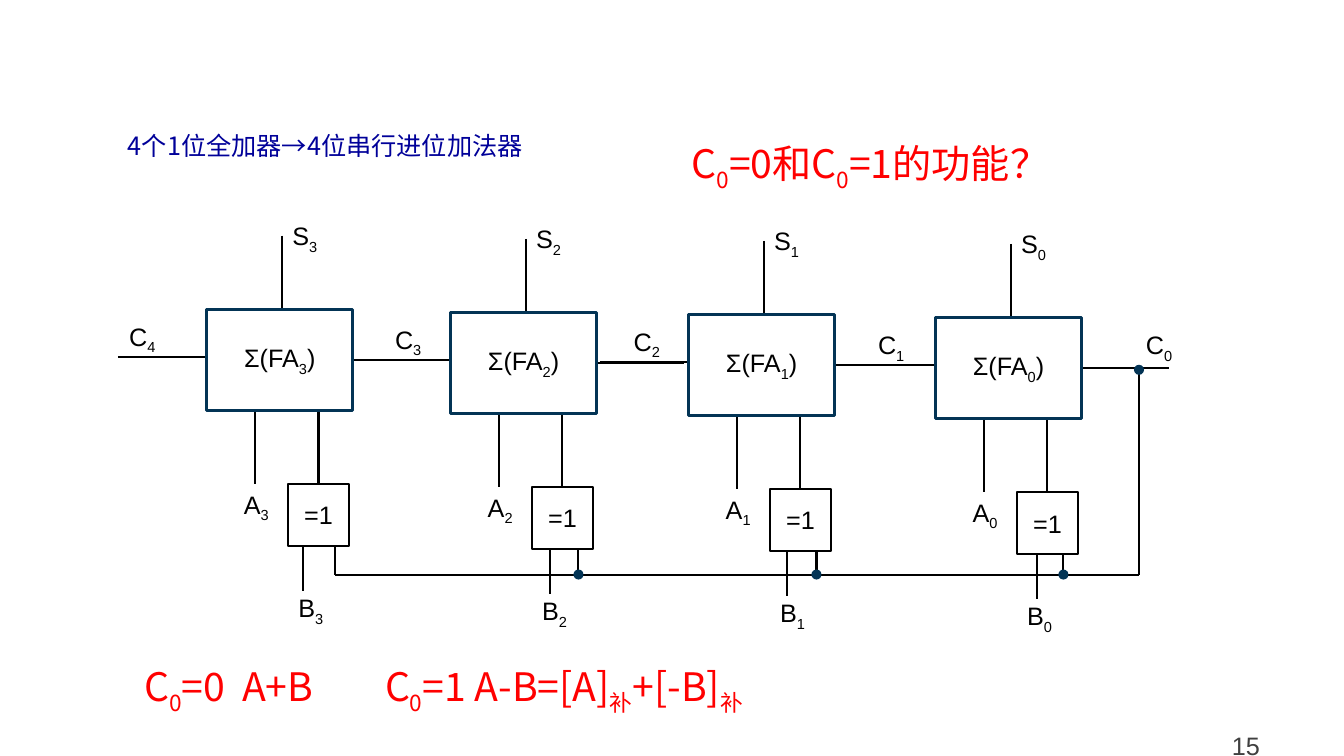
from lxml import etree
from pptx import Presentation
from pptx import util as u
from pptx.dml import color
from pptx.enum import shapes, text
from pptx.oxml import ns

Pt = u.Pt
LATIN, CJK = "Arial", "Noto Sans CJK SC"
BLACK, NAVY, RED = "000000", "033455", "FF0000"
ADDERS = [
    (3, 147.6, 221, -55.4, 69.1),
    (2, 321.8, 223.2, -39.6, 71.3),
    (1, 491.8, 224.6, -39.2, 70.6),
    (0, 668.2, 226.8, -41, 72.7),
]
BUS_Y, MODE_X = 410.4, 813.6


def rgb(value):
    """Turn a hex string into a colour."""
    return color.RGBColor.from_string(value)


def write(frame, content, size, font, hue, align=text.PP_ALIGN.LEFT, tabs=()):
    """Write text whose every second part between bars is a subscript."""
    frame.word_wrap = True
    frame.margin_left = frame.margin_right = frame.margin_top = frame.margin_bottom = 0
    line = frame.paragraphs[0]
    line.alignment = align
    if tabs:
        stops = etree.SubElement(line._p.get_or_add_pPr(), ns.qn("a:tabLst"))
        for stop in tabs:
            etree.SubElement(stops, ns.qn("a:tab"), pos=str(Pt(stop)), algn="l")
    for index, part in enumerate(content.split("|")):
        if not part:
            continue
        run = line.add_run()
        run.text = part
        run.font.size = Pt(size)
        run.font.name = font
        run.font.color.rgb = rgb(hue)
        etree.SubElement(run._r.rPr, ns.qn("a:ea"), typeface=font)
        if index % 2:
            run.font._element.set("baseline", "-25000")
    return line


def label(slide, box, content, size=18, font=LATIN, hue=BLACK, **layout):
    """Place a text box without insets."""
    frame = slide.shapes.add_textbox(*map(Pt, box)).text_frame
    return write(frame, content, size, font, hue, **layout)


def wire(slide, x1, y1, x2, y2):
    """Draw one straight black wire."""
    line = slide.shapes.add_connector(
        shapes.MSO_CONNECTOR.STRAIGHT, Pt(x1), Pt(y1), Pt(x2), Pt(y2))
    line.line.color.rgb = rgb(BLACK)
    line.line.width = Pt(1.5)
    etree.SubElement(line._element.spPr, ns.qn("a:effectLst"))


def block(slide, box, content, edge, weight):
    """Draw a white logic block with centred text."""
    gate = slide.shapes.add_shape(shapes.MSO_SHAPE.RECTANGLE, *map(Pt, box))
    gate.shadow.inherit = False
    gate.fill.solid()
    gate.fill.fore_color.rgb = rgb("FFFFFF")
    gate.line.color.rgb = rgb(edge)
    gate.line.width = Pt(weight)
    write(gate.text_frame, content, 18, LATIN, BLACK, text.PP_ALIGN.CENTER)
    gate.text_frame.vertical_anchor = text.MSO_ANCHOR.MIDDLE


def junction(slide, x, y):
    """Mark a wire junction with a dot."""
    dot = slide.shapes.add_shape(
        shapes.MSO_SHAPE.OVAL, Pt(x - 3.6), Pt(y - 3.6), Pt(7.2), Pt(7.2))
    dot.shadow.inherit = False
    dot.fill.solid()
    dot.fill.fore_color.rgb = rgb(NAVY)
    dot.line.fill.background()


def adder(slide, bit, x, y, carry_x, b_x):
    """Draw one full adder with its gate, wires and labels."""
    mode_x = 91.4
    for x1, y1, x2, y2 in [
        (34.6, 72, 34.6, 124.6),
        (79.9, 72, 79.9, 124.6),
        (104.4, 36, 167, 36),
        (-63.4, 34, -0.7, 34),
        (54, -52.6, 54, 0),
        (b_x, 169, b_x, 201.4),
        (mode_x, 169, mode_x, BUS_Y - y),
    ]:
        wire(slide, x + x1, y + y1, x + x2, y + y2)
    block(slide, (x, y, 104.4, 72), f"Σ(FA|{bit}|)", NAVY, 2.25)
    block(slide, (x + 58.4, y + 124.4, 43.2, 44.6), "=1", BLACK, 1.5)
    for name, index, dx, dy in [
        ("A", bit, 26.6, 128.2),
        ("B", bit, 65.5, 202.3),
        ("S", bit, 61.2, -63.4),
        ("C", bit + 1, carry_x, 8.6),
    ]:
        label(slide, (x + dx, y + dy, 28, 21.6), f"{name}|{index}")
    if bit < 3:
        junction(slide, x + mode_x, BUS_Y)


def circuit(slide):
    """Draw the four-bit chain and the mode bus."""
    wire(slide, MODE_X, 262.8, MODE_X, BUS_Y)
    wire(slide, MODE_X, BUS_Y, 239, BUS_Y)
    for stage in ADDERS:
        adder(slide, *stage)
    junction(slide, MODE_X, 264.2)
    label(slide, (818.6, 235.4, 28, 21.6), "C|0")


def statements(slide):
    """Place the heading, the question, the answer and the page number."""
    label(slide, (91.4, 92.9, 286, 44), "4个1位全加器→4位串行进位加法器",
          font=CJK, hue="000099")
    label(slide, (494, 99.4, 353, 34), "C|0|=0和C|0|=1的功能？", 28, CJK, RED)
    label(slide, (103, 473, 578, 34),
          "C|0|=0\tA+B\tC|0|=1 A-B=[A]|补|+[-B]|补", 28, CJK, RED, tabs=(70, 172))
    page = label(slide, (833.8, 517, 112.3, 24), "15", hue="404040",
                 align=text.PP_ALIGN.CENTER)
    page.line_spacing = 1.2


def main():
    """Build and save the slide."""
    deck = Presentation()
    deck.slide_width, deck.slide_height = Pt(960), Pt(540)
    slide = deck.slides.add_slide(deck.slide_layouts[6])
    circuit(slide)
    statements(slide)
    deck.save("out.pptx")


if __name__ == "__main__":
    main()
